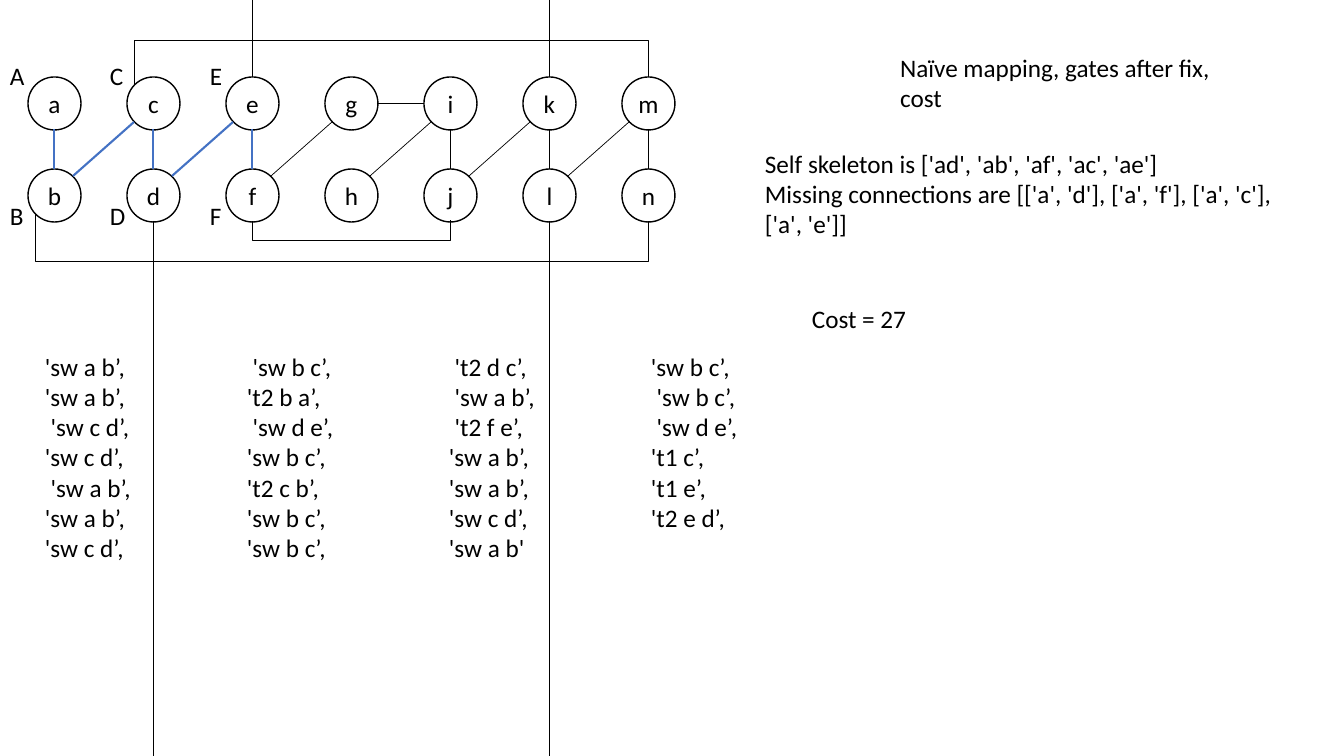
from dataclasses import dataclass
from enum import Enum
from typing import NamedTuple

from lxml.etree import SubElement
from pptx import Presentation
from pptx.dml.color import RGBColor
from pptx.enum.shapes import MSO_CONNECTOR, MSO_SHAPE
from pptx.enum.text import MSO_ANCHOR, MSO_AUTO_SIZE, PP_ALIGN
from pptx.oxml.ns import qn
from pptx.util import Pt

SCALE = 914400 / 100.8
PAGE_WIDTH, PAGE_HEIGHT = 1344, 756


@dataclass(frozen=True)
class Theme:
    """Colours, type and line weights of the slide."""
    ink: RGBColor = RGBColor(0, 0, 0)
    paper: RGBColor = RGBColor(255, 255, 255)
    accent: RGBColor = RGBColor(0x44, 0x72, 0xC4)
    font: str = "Calibri"
    size: float = 18
    outline: float = 1
    thin: float = 0.5
    thick: float = 1.5


THEME = Theme()


class Box(NamedTuple):
    """A rectangle in pixels."""
    left: int
    top: int
    width: int
    height: int


class Point(NamedTuple):
    """A place in pixels."""
    x: int
    y: int


class Side(Enum):
    """Where a line meets a circle, as an offset from its centre."""
    TOP = (0, -26)
    BOTTOM = (0, 26)
    LEFT = (-26, 0)
    RIGHT = (26, 0)
    UPPER_LEFT = (-19, -19)
    UPPER_RIGHT = (19, -19)
    LOWER_LEFT = (-19, 19)


class Edge(NamedTuple):
    """A straight line between two qubits."""
    start: str
    start_side: Side
    end: str
    end_side: Side


class Loop(NamedTuple):
    """A U-shaped line between two qubits, passing through a level."""
    start: str
    start_side: Side
    end: str
    end_side: Side
    level: int


class Caption(NamedTuple):
    """A block of text and its place."""
    box: Box
    lines: list[str]


COLUMNS = ["ab", "cd", "ef", "gh", "ij", "kl", "mn"]
DIAMETER, COLUMN_STEP, ROW_STEP = 53, 99, 92
CENTRES = {name: Point(54 + COLUMN_STEP * column, 103 + ROW_STEP * row)
           for column, pair in enumerate(COLUMNS) for row, name in enumerate(pair)}
SKELETON = {"ab", "bc", "cd", "de", "ef"}

EDGES = [Edge(upper, Side.BOTTOM, lower, Side.TOP)
         for upper, lower in COLUMNS if upper != "g"]
EDGES += [Edge(here[1], Side.UPPER_RIGHT, following[0], Side.LOWER_LEFT)
          for here, following in zip(COLUMNS, COLUMNS[1:])]
EDGES.append(Edge("g", Side.RIGHT, "i", Side.LEFT))

LOOPS = [Loop("f", Side.BOTTOM, "j", Side.BOTTOM, 240),
         Loop("c", Side.UPPER_LEFT, "m", Side.TOP, 40),
         Loop("b", Side.LOWER_LEFT, "n", Side.BOTTOM, 262)]

PAGE_EXITS = [("e", Side.TOP, 0), ("k", Side.TOP, 0),
              ("d", Side.BOTTOM, PAGE_HEIGHT), ("l", Side.BOTTOM, PAGE_HEIGHT)]

CAPTIONS = [Caption(Box(100 * column, top, 33, 40), [letter])
            for column, pair in enumerate(["AB", "CD", "EF"])
            for letter, top in zip(pair, (55, 195))]
CAPTIONS += [
    Caption(Box(802, 298, 172, 40), ["Cost = 27"]),
    Caption(Box(755, 143, 561, 102), [
        "Self skeleton is ['ad', 'ab', 'af', 'ac', 'ae']",
        "Missing connections are [['a', 'd'], ['a', 'f'], ['a', 'c'], ['a', 'e']]"]),
]

GATE_BOX, GATE_STEP = Box(35, 346, 785, 224), 202
GATES = [
    ["'sw a b’,", " 'sw b c’,", " 't2 d c’,", "'sw b c’,"],
    ["'sw a b’,", "'t2 b a’,", " 'sw a b’,", " 'sw b c’,"],
    [" 'sw c d’,", " 'sw d e’,", " 't2 f e’,", " 'sw d e’,"],
    ["'sw c d’,", "'sw b c’,", "'sw a b’,", "'t1 c’,"],
    [" 'sw a b’,", "'t2 c b’,", "'sw a b’,", "'t1 e’,"],
    ["'sw a b’,", "'sw b c’,", "'sw c d’,", "'t2 e d’,"],
    ["'sw c d’,", "'sw b c’,", "'sw a b'"],
]


def emu(pixels: float) -> int:
    """Turn pixels into EMU."""
    return round(pixels * SCALE)


def place(shape, box: Box) -> None:
    """Move and size a shape."""
    shape.left, shape.top, shape.width, shape.height = map(emu, box)


def write(frame, lines: list[str], align=PP_ALIGN.LEFT, anchor=MSO_ANCHOR.TOP) -> None:
    """Fill a text frame and format its runs."""
    frame.text = "\n".join(lines)
    frame.word_wrap = True
    frame.auto_size = MSO_AUTO_SIZE.NONE
    frame.vertical_anchor = anchor
    for para in frame.paragraphs:
        para.alignment = align
        for span in para.runs:
            span.font.name, span.font.size = THEME.font, Pt(THEME.size)
            span.font.color.rgb = THEME.ink


def site(name: str, side: Side) -> Point:
    """Find the point on one side of a qubit circle."""
    return Point(CENTRES[name].x + side.value[0], CENTRES[name].y + side.value[1])


def draw_qubit(page, name: str) -> None:
    """Draw a qubit as a lettered circle."""
    corner = (CENTRES[name].x - DIAMETER // 2, CENTRES[name].y - DIAMETER // 2)
    circle = page.shapes.add_shape(
        MSO_SHAPE.OVAL, *map(emu, Box(*corner, DIAMETER, DIAMETER)))
    circle.shadow.inherit = False
    circle.fill.solid()
    circle.fill.fore_color.rgb = THEME.paper
    circle.line.color.rgb, circle.line.width = THEME.ink, Pt(THEME.outline)
    frame = circle.text_frame
    frame.margin_left = frame.margin_right = 0
    write(frame, [name], PP_ALIGN.CENTER, MSO_ANCHOR.MIDDLE)


def draw_line(page, start: Point, end: Point, marked=False, kind=MSO_CONNECTOR.STRAIGHT):
    """Draw a connector, thick and coloured when marked."""
    line = page.shapes.add_connector(kind, *map(emu, (*start, *end)))
    line.line.color.rgb = THEME.accent if marked else THEME.ink
    line.line.width = Pt(THEME.thick if marked else THEME.thin)
    SubElement(line._element.spPr, qn("a:effectLst"))
    return line


def draw_loop(page, loop: Loop) -> None:
    """Draw an elbow connector turned to run up or down, across and back."""
    start, end = site(loop.start, loop.start_side), site(loop.end, loop.end_side)
    line = draw_line(page, start, end, kind=MSO_CONNECTOR.ELBOW)
    rising = start.y >= end.y
    rise, span = max(1, abs(start.y - end.y)), end.x - start.x
    middle = Point((start.x + end.x) / 2, (start.y + end.y) / 2)
    place(line, Box(middle.x - rise / 2, middle.y - span / 2, rise, span))
    frame = line._element.spPr.find(qn("a:xfrm"))
    frame.set("rot", str((90 if rising else 270) * 60000))
    frame.set("flipH", "1")
    frame.set("flipV", "1" if rising else "0")
    reach = start.y - loop.level if rising else loop.level - start.y
    guides = line._element.spPr.find(qn("a:prstGeom")).find(qn("a:avLst"))
    SubElement(guides, qn("a:gd"), name="adj1", fmla=f"val {round(reach / rise * 100000)}")


def draw_caption(page, caption: Caption):
    """Add a text box and return its text frame."""
    frame = page.shapes.add_textbox(*map(emu, caption.box)).text_frame
    write(frame, caption.lines)
    return frame


def draw_gates(page) -> None:
    """List the gates in columns set by tab stops."""
    frame = draw_caption(page, Caption(GATE_BOX, ["\t".join(row) for row in GATES]))
    for para in frame.paragraphs:
        stops = SubElement(para._p.get_or_add_pPr(), qn("a:tabLst"))
        for column in range(1, 4):
            SubElement(stops, qn("a:tab"), pos=str(emu(GATE_STEP * column)), algn="l")


def main() -> None:
    """Build the slide and save it."""
    deck = Presentation()
    deck.slide_width, deck.slide_height = emu(PAGE_WIDTH), emu(PAGE_HEIGHT)
    page = deck.slides.add_slide(deck.slide_layouts[5])
    title = page.shapes.title
    place(title, Box(890, 47, 354, 72))
    write(title.text_frame, ["Naïve mapping, gates after fix, cost"])
    for name in CENTRES:
        draw_qubit(page, name)
    for edge in EDGES:
        draw_line(page, site(edge.start, edge.start_side), site(edge.end, edge.end_side),
                  edge.start + edge.end in SKELETON)
    for name, side, limit in PAGE_EXITS:
        start = site(name, side)
        draw_line(page, start, Point(start.x, limit))
    for loop in LOOPS:
        draw_loop(page, loop)
    for caption in CAPTIONS:
        draw_caption(page, caption)
    draw_gates(page)
    deck.save("out.pptx")


main()
